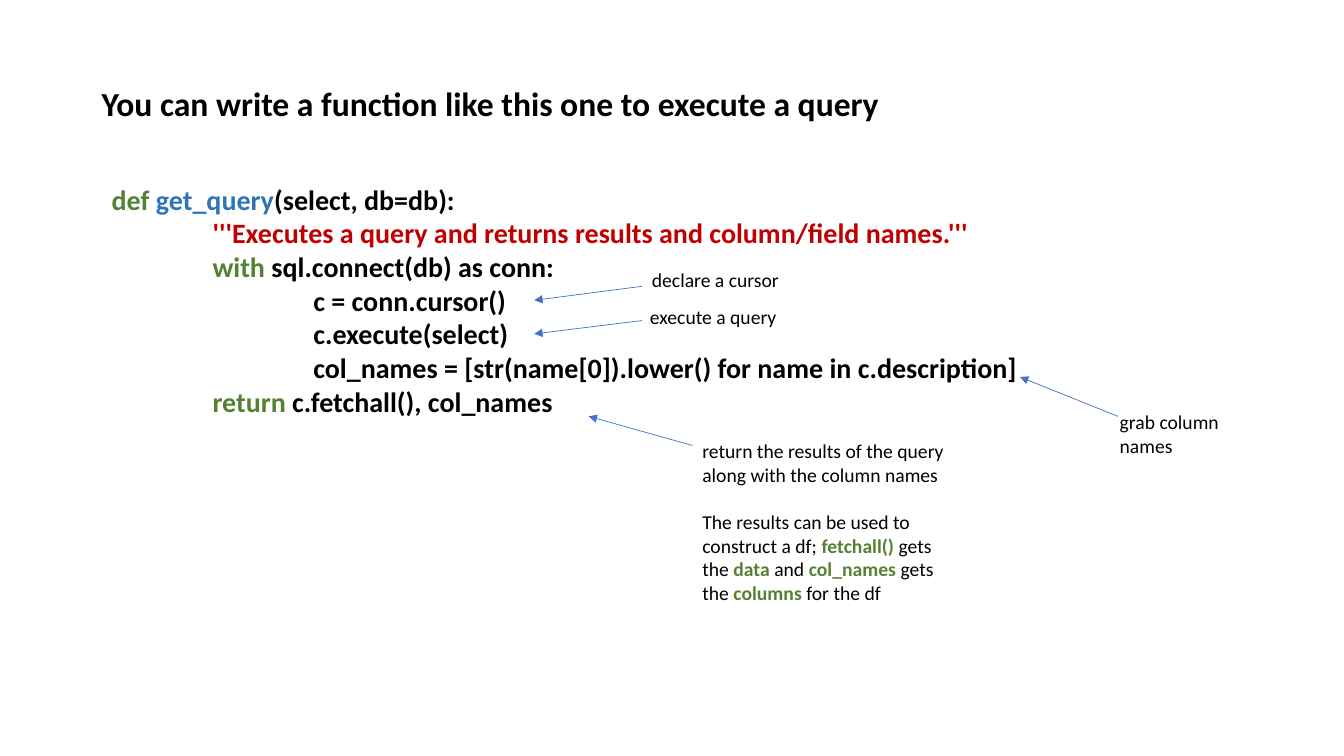
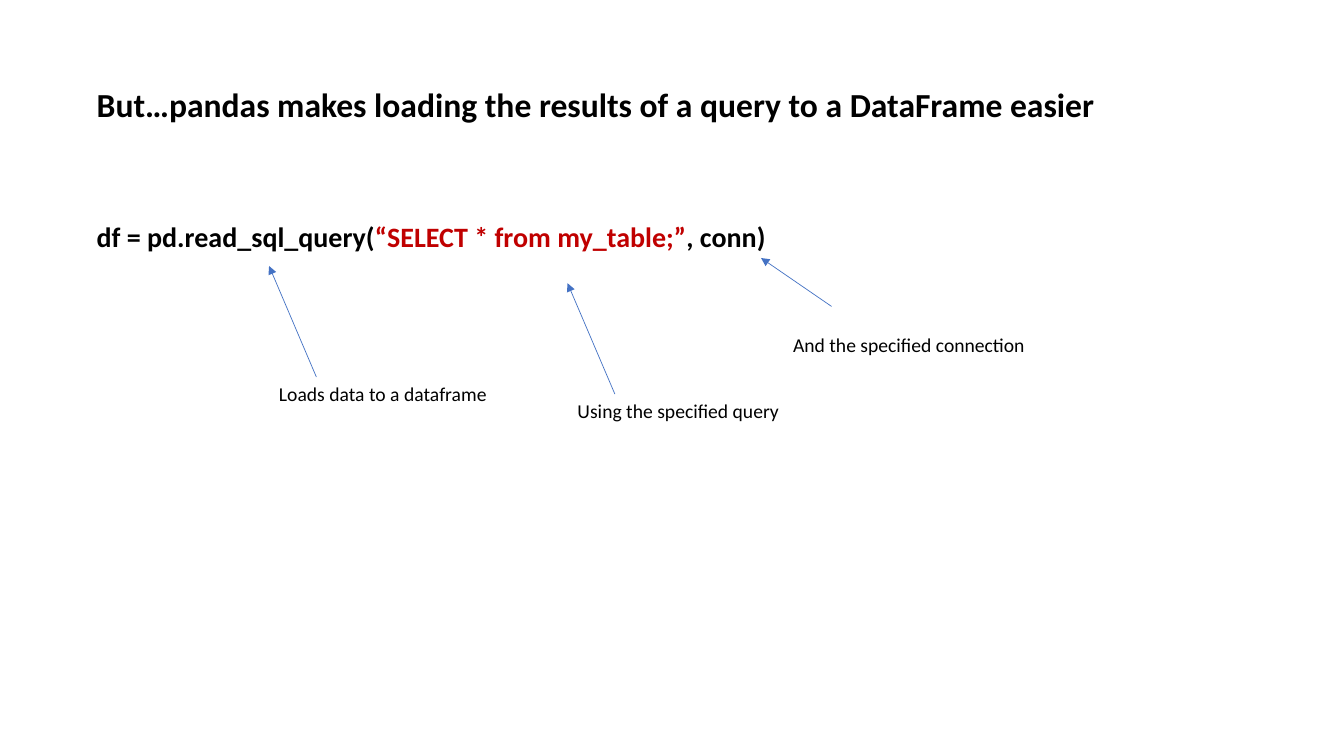
"""Build two slides on running a query from Python and loading it with pandas."""
from lxml import etree
from pptx import Presentation
from pptx.dml.color import RGBColor
from pptx.enum.shapes import MSO_CONNECTOR
from pptx.oxml.ns import qn
from pptx.util import Pt

STRAIGHT = MSO_CONNECTOR.STRAIGHT
FONT = "Calibri"
HEX = {"ink": "000000", "key": "548235", "name": "2E75B6",
       "quote": "C00000", "arrow": "4472C4"}
TITLE, CODE, NOTE = 24, 20, 14
TAB = 72


def write(slide, box, size, lines, gap=0):
    """Add a text box; each line is (indent, runs), each run (text, colour)."""
    frame = slide.shapes.add_textbox(*map(Pt, box)).text_frame
    frame.word_wrap = True
    for i, (indent, runs) in enumerate(lines):
        para = frame.paragraphs[0] if i == 0 else frame.add_paragraph()
        para.font.name = FONT
        para.font.size = Pt(size)
        para.font.bold = size > NOTE
        para.font.color.rgb = RGBColor.from_string(HEX["ink"])
        if i and gap:
            para.space_before = Pt(gap)
        if indent:
            para._p.get_or_add_pPr().set("marL", str(Pt(indent * TAB)))
        for text, tint in runs:
            run = para.add_run()
            run.text = text
            if tint != "ink":
                run.font.bold = True
                run.font.color.rgb = RGBColor.from_string(HEX[tint])


def point(slide, ends):
    """Draw a thin arrow from the first point to the second."""
    line = slide.shapes.add_connector(STRAIGHT, *map(Pt, ends))
    line.line.width = Pt(0.5)
    line.line.color.rgb = RGBColor.from_string(HEX["arrow"])
    etree.SubElement(line.line._get_or_add_ln(), qn("a:tailEnd"), type="triangle")
    etree.SubElement(line._element.spPr, qn("a:effectLst"))


query = [
    (0, [("def ", "key"), ("get_query", "name"), ("(select, db=db):", "ink")]),
    (1, [("'''Executes a query and returns results and column/field names.'''", "quote")]),
    (1, [("with ", "key"), ("sql.connect(db) as conn:", "ink")]),
    (2, [("c = conn.cursor()", "ink")]),
    (2, [("c.execute(select)", "ink")]),
    (2, [("col_names = [str(name[0]).lower() for name in c.description]", "ink")]),
    (1, [("return ", "key"), ("c.fetchall(), col_names", "ink")]),
]
load = [(0, [("df = pd.read_sql_query(", "ink"),
             ("“SELECT * from my_table;”", "quote"), (", conn)", "ink")])]
result = [
    (0, [("return the results of the query along with the column names", "ink")]),
    (0, [("The results can be used to construct a df; ", "ink"),
         ("fetchall() ", "key"), ("gets the ", "ink"), ("data", "key"),
         (" and ", "ink"), ("col_names ", "key"), ("gets the ", "ink"),
         ("columns", "key"), (" for the df", "ink")]),
]

pages = [
    {"title": "You can write a function like this one to execute a query",
     "head": (65.5, 55.4, 611, 36),
     "code": query, "body": (72.7, 126.7, 826.6, 177),
     "notes": [("declare a cursor", (458.6, 188, 137, 24.5)),
               ("execute a query", (457.2, 214, 126, 24.5)),
               ("grab column names", (792.7, 289.4, 126, 24.5))],
     "arrows": [(458.6, 204.5, 381.6, 214.5), (458.6, 229, 381.6, 238.5),
                (798.5, 297.4, 728.6, 269.3), (494.6, 318.2, 420.5, 297.4)]},
    {"title": "But…pandas makes loading the results of a query to a DataFrame easier",
     "head": (62, 56.2, 742.3, 36),
     "code": load, "body": (62, 153.4, 837.4, 31.7),
     "notes": [("Loads data to a dataframe", (192.2, 269.3, 173, 24.5)),
               ("Using the specified query", (405.4, 281.5, 173, 24.5)),
               ("And the specified connection", (559.4, 234, 244, 24.5))],
     "arrows": [(226, 269.3, 192.2, 190), (439.2, 281.5, 405.4, 202.3),
                (594, 218.9, 543.6, 184.3)]},
]

deck = Presentation()
deck.slide_width, deck.slide_height = Pt(960), Pt(540)
blank = deck.slide_layouts[6]
for page in pages:
    slide = deck.slides.add_slide(blank)
    write(slide, page["head"], TITLE, [(0, [(page["title"], "ink")])])
    write(slide, page["body"], CODE, page["code"])
    for ends in page["arrows"]:
        point(slide, ends)
    for text, box in page["notes"]:
        write(slide, box, NOTE, [(0, [(text, "ink")])])

write(deck.slides[0], (494.6, 310.3, 192.2, 126), NOTE, result, gap=17)
deck.save("out.pptx")
